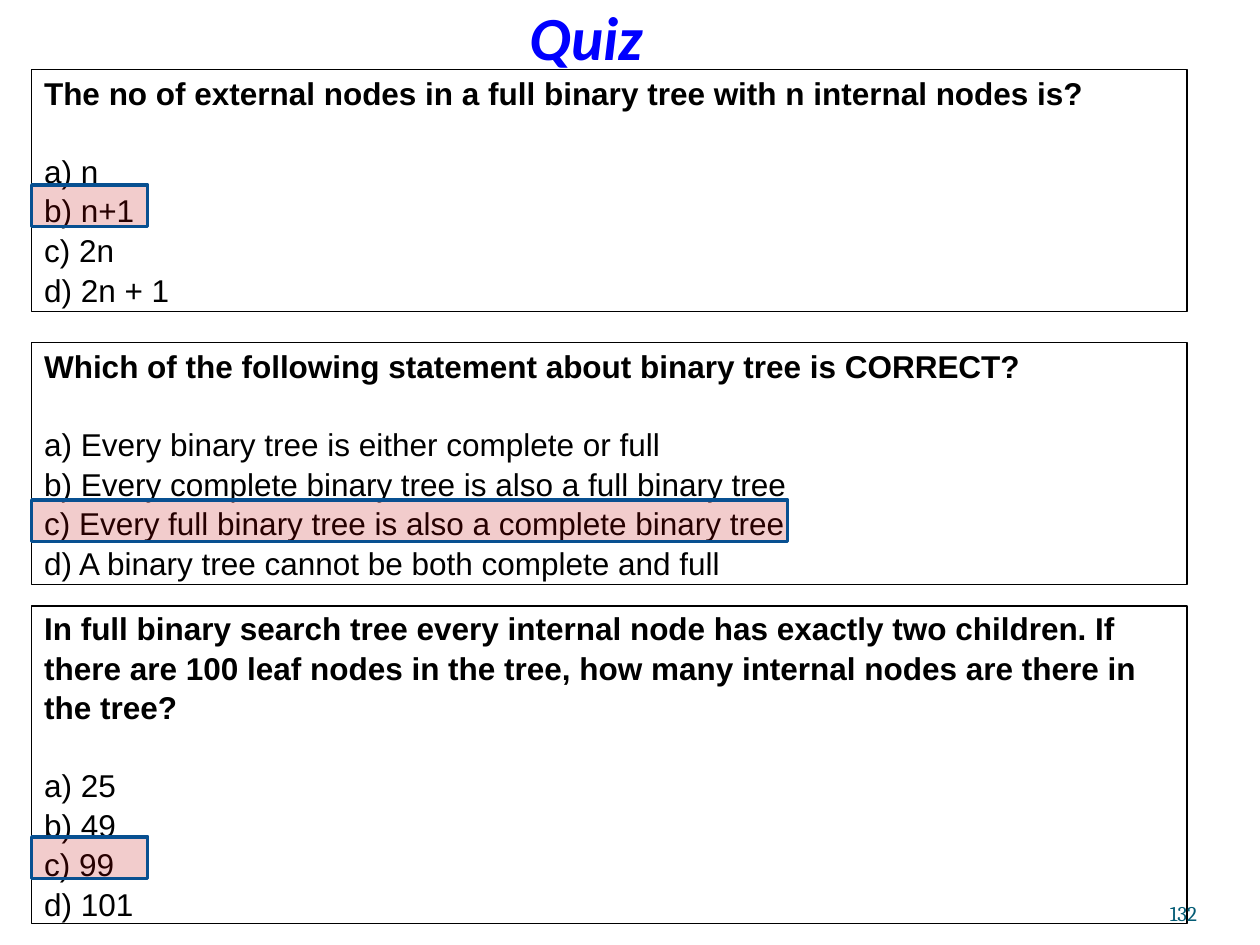
from lxml.etree import SubElement
from pptx import Presentation
from pptx.dml.color import RGBColor
from pptx.enum.shapes import MSO_SHAPE as Shape
from pptx.enum.text import MSO_ANCHOR as Anchor, MSO_AUTO_SIZE as AutoSize, PP_ALIGN as Align
from pptx.oxml.ns import qn
from pptx.util import Cm, Pt

TITLE = "Quiz "
PAGE_NUMBER = "132"
QUESTIONS = [
    dict(
        top=1.4, height=4.88, answer_top=3.73, answer_width=2.34,
        prompt="The no of external nodes in a full binary tree with n internal nodes is?",
        options=["a) n", "b) n+1", "c) 2n", "d) 2n + 1"],
    ),
    dict(
        top=6.91, height=4.88, answer_top=10.08, answer_width=15.24,
        prompt="Which of the following statement about binary tree is CORRECT?",
        options=[
            "a) Every binary tree is either complete or full",
            "b) Every complete binary tree is also a full binary tree",
            "c) Every full binary tree is also a complete binary tree",
            "d) A binary tree cannot be both complete and full",
        ],
    ),
    dict(
        top=12.22, height=6.4, answer_top=16.87, answer_width=2.34,
        prompt="In full binary search tree every internal node has exactly two children. "
               "If there are 100 leaf nodes in the tree, how many internal nodes are there in the tree?",
        options=["a) 25", "b) 49", "c) 99", "d) 101"],
    ),
]
THEME = dict(
    title=dict(name="Calibri", size=Pt(35), bold=True, italic=True, color="0000FF"),
    prompt=dict(name="Arial", size=Pt(18), bold=True, color="000000"),
    option=dict(name="Arial", size=Pt(18), bold=False, color="000000"),
    number=dict(name="Cambria", size=Pt(12), bold=False, color="045C75"),
    border="000000", answer_fill="C00000", answer_line="085091",
)
LEFT, BOX_WIDTH, ANSWER_HEIGHT = 0.64, 23.29, 0.84
LINE_SPACING, OPTIONS_GAP = 1.05, Pt(21.7)


def set_values(target, values):
    for name, value in values.items():
        setattr(target, name, value)


def write(para, text, style):
    span = para.add_run()
    span.text = text
    set_values(span.font, {key: value for key, value in style.items() if key != "color"})
    span.font.color.rgb = RGBColor.from_string(style["color"])


def set_frame(frame, anchor, margins):
    sides = ("margin_left", "margin_top", "margin_right", "margin_bottom")
    set_values(frame, dict(word_wrap=True, auto_size=AutoSize.NONE, vertical_anchor=anchor))
    set_values(frame, {side: Cm(margin) for side, margin in zip(sides, margins)})


def add_rectangle(page, top, width, height, line_color, line_width):
    box = page.shapes.add_shape(Shape.RECTANGLE, Cm(LEFT), Cm(top), Cm(width), Cm(height))
    box.shadow.inherit = False
    box.line.color.rgb = RGBColor.from_string(line_color)
    box.line.width = Pt(line_width)
    return box


def add_question(page, question):
    box = add_rectangle(page, question["top"], BOX_WIDTH, question["height"], THEME["border"], 0.75)
    box.fill.background()
    frame = box.text_frame
    set_frame(frame, Anchor.MIDDLE, (0.25, 0.13, 0.25, 0.13))
    for index, text in enumerate([question["prompt"], *question["options"]]):
        para = frame.add_paragraph() if index else frame.paragraphs[0]
        set_values(para, dict(alignment=Align.LEFT, line_spacing=LINE_SPACING))
        if index == 1:
            para.space_before = OPTIONS_GAP
        write(para, text, THEME["option" if index else "prompt"])


def add_answer(page, question):
    box = add_rectangle(page, question["answer_top"], question["answer_width"],
                        ANSWER_HEIGHT, THEME["answer_line"], 2)
    box.fill.solid()
    box.fill.fore_color.rgb = RGBColor.from_string(THEME["answer_fill"])
    color = box.fill._xPr.find(qn("a:solidFill"))[0]
    SubElement(color, qn("a:alpha"), val="20000")


def add_line_of_text(box, text, style, place, alignment, margins):
    set_values(box, {key: Cm(value) for key, value in place.items()})
    set_frame(box.text_frame, Anchor.BOTTOM, margins)
    para = box.text_frame.paragraphs[0]
    para.alignment = alignment
    write(para, text, style)


def main():
    deck = Presentation()
    set_values(deck, dict(slide_width=Cm(25.4), slide_height=Cm(19.05)))
    page = deck.slides.add_slide(deck.slide_layouts[5])
    for question in QUESTIONS:
        add_question(page, question)
        add_answer(page, question)
    add_line_of_text(page.shapes.title, TITLE, THEME["title"],
                     dict(left=9.32, top=-0.43, width=5.28, height=1.9),
                     Align.CENTER, (0, 0.13, 0, 0))
    number = page.shapes.add_textbox(0, 0, 0, 0)
    add_line_of_text(number, PAGE_NUMBER, THEME["number"],
                     dict(left=22.02, top=17.65, width=2.11, height=1.02),
                     Align.RIGHT, (0, 0, 0, 0))
    deck.save("out.pptx")


if __name__ == "__main__":
    main()
